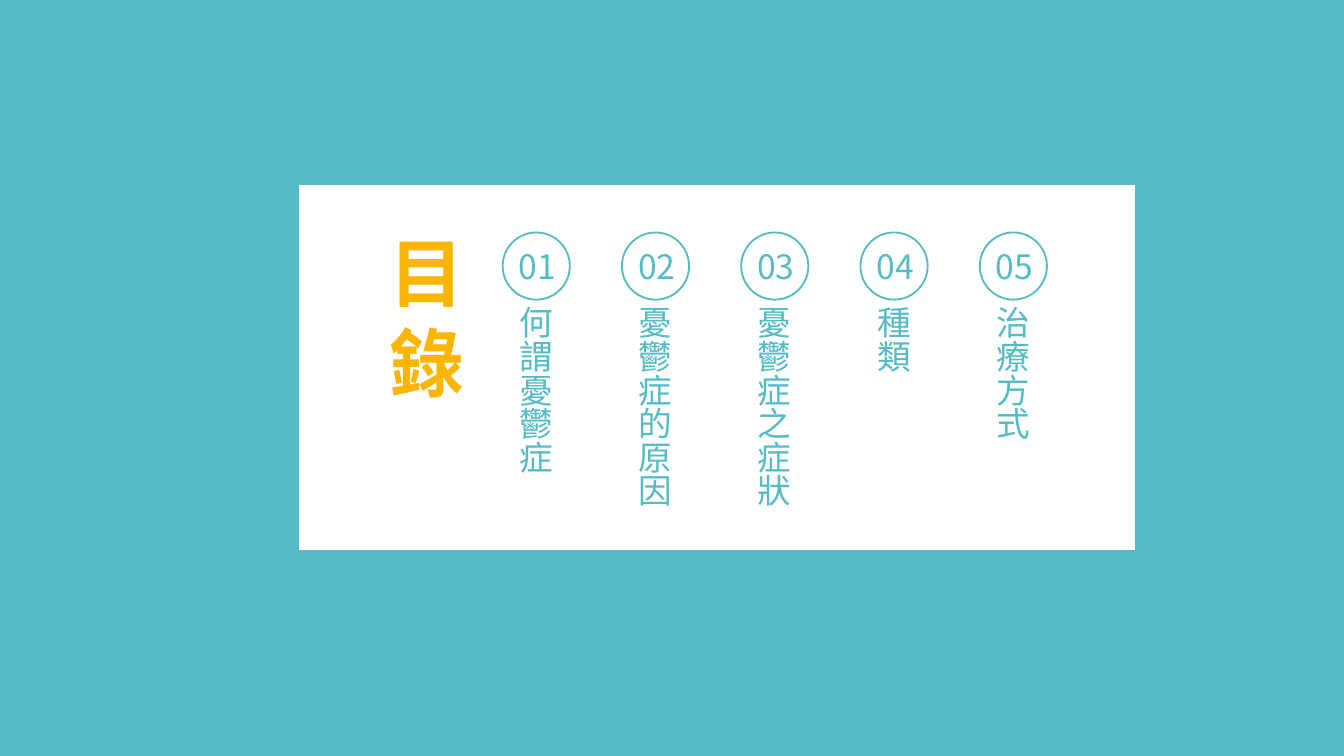
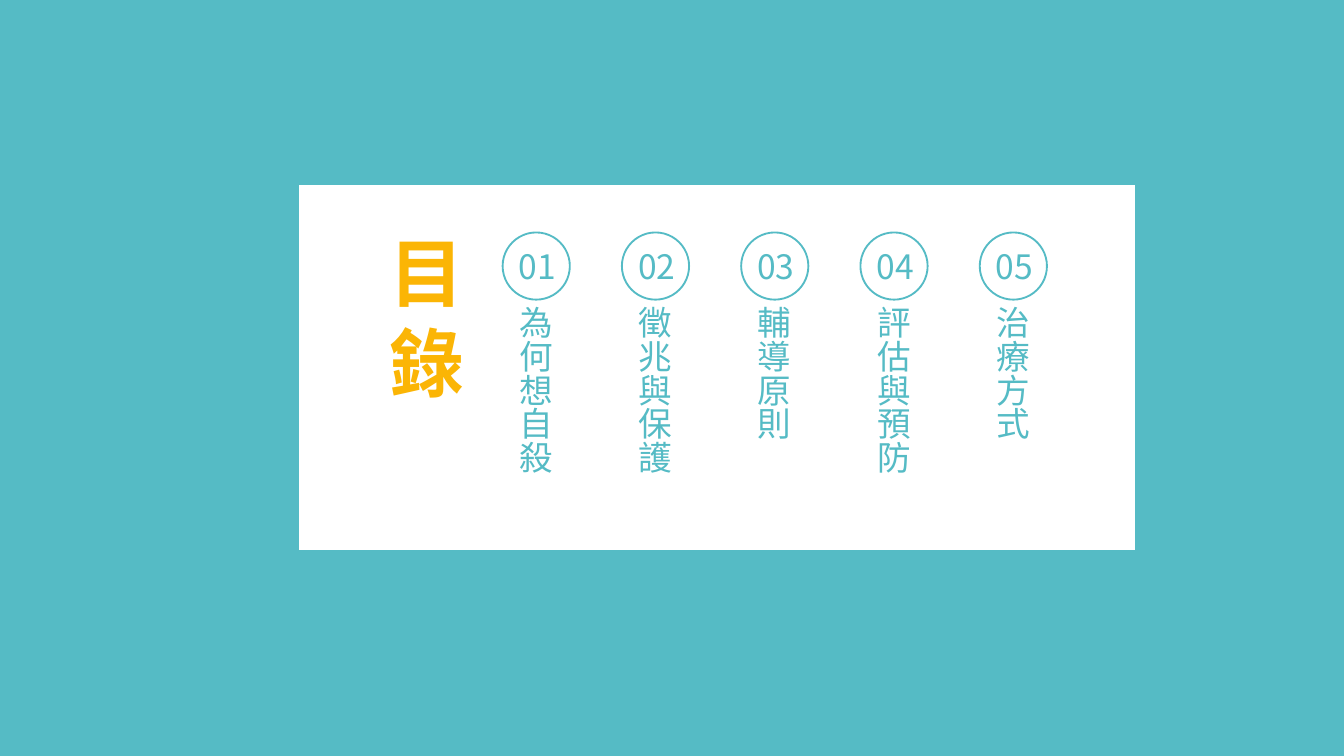
from lxml import etree
from pptx import Presentation
from pptx import util as u
from pptx.dml.color import RGBColor
from pptx.enum import shapes, text
from pptx.oxml.ns import qn

TITLE = "目錄"
TOPICS = [
    ["何謂憂鬱症", "憂鬱症的原因", "憂鬱症之症狀", "種類", "治療方式"],
    ["為何想自殺", "徵兆與保護", "輔導原則", "評估與預防", "治療方式"],
]
COLORS = {"teal": "55BBC5", "gold": "FBB505", "white": "FFFFFF"}
FONT = "Noto Sans CJK JP"
SIZE = (10, 10 * 9 / 16)
PANEL = (2.22, 1.37, 6.23, 2.73)
HEAD = (2.85, 1.64, 0.67, 1.66)
LEFT, TOP, RING = 3.74, 1.73, 0.5
STEP = 3.55 / 4
CHAR, INSET = 0.25, 0.05


def color(name):
    return RGBColor.from_string(COLORS[name])


def inches(box):
    return [u.Inches(n) for n in box]


def add_shape(parent, kind, box):
    shape = parent.add_shape(kind, *inches(box))
    shape.shadow.inherit = False
    shape.fill.solid()
    shape.fill.fore_color.rgb = color("white")
    shape.line.color.rgb = color("teal")
    shape.line.width = u.Pt(1)


def add_text(parent, box, words, size=18, tint="teal", bold=False, wrap=False, tall=False):
    frame = parent.add_textbox(*inches(box)).text_frame
    frame.word_wrap = wrap
    frame.auto_size = text.MSO_AUTO_SIZE.SHAPE_TO_FIT_TEXT
    frame.margin_left = frame.margin_right = u.Inches(INSET)
    frame.margin_top = u.Inches(0 if tall else INSET)
    frame.margin_bottom = u.Inches(2 * INSET if tall else INSET)
    if tall:
        frame._txBody.bodyPr.set("vert", "eaVert")
    run = frame.paragraphs[0].add_run()
    run.text = words
    font = run.font
    font.name, font.size, font.bold = FONT, u.Pt(size), bold
    font.color.rgb = color(tint)
    etree.SubElement(run._r.get_or_add_rPr(), qn("a:ea")).set("typeface", FONT)


def add_topic(slide, index, topic):
    left = LEFT + index * STEP
    group = slide.shapes.add_group_shape().shapes
    add_shape(group, shapes.MSO_SHAPE.OVAL, (left, TOP, RING, RING))
    add_text(group, (left + 0.07, TOP + 0.05, 0.39, 0.41), f"{index + 1:02}")
    high = 2 * INSET + 0.01 + CHAR * len(topic)
    add_text(group, (left + 0.09, TOP + 0.55, 0.35, high), topic, tall=True)


def main():
    """Build the two contents slides."""
    deck = Presentation()
    deck.slide_width, deck.slide_height = inches(SIZE)
    back = deck.slide_master.background.fill
    back.solid()
    back.fore_color.rgb = color("teal")
    for topics in TOPICS:
        slide = deck.slides.add_slide(deck.slide_layouts[6])
        add_shape(slide.shapes, shapes.MSO_SHAPE.RECTANGLE, PANEL)
        add_text(slide.shapes, HEAD, TITLE, 40, "gold", bold=True, wrap=True)
        for index, topic in enumerate(topics):
            add_topic(slide, index, topic)
    deck.save("out.pptx")


if __name__ == "__main__":
    main()
